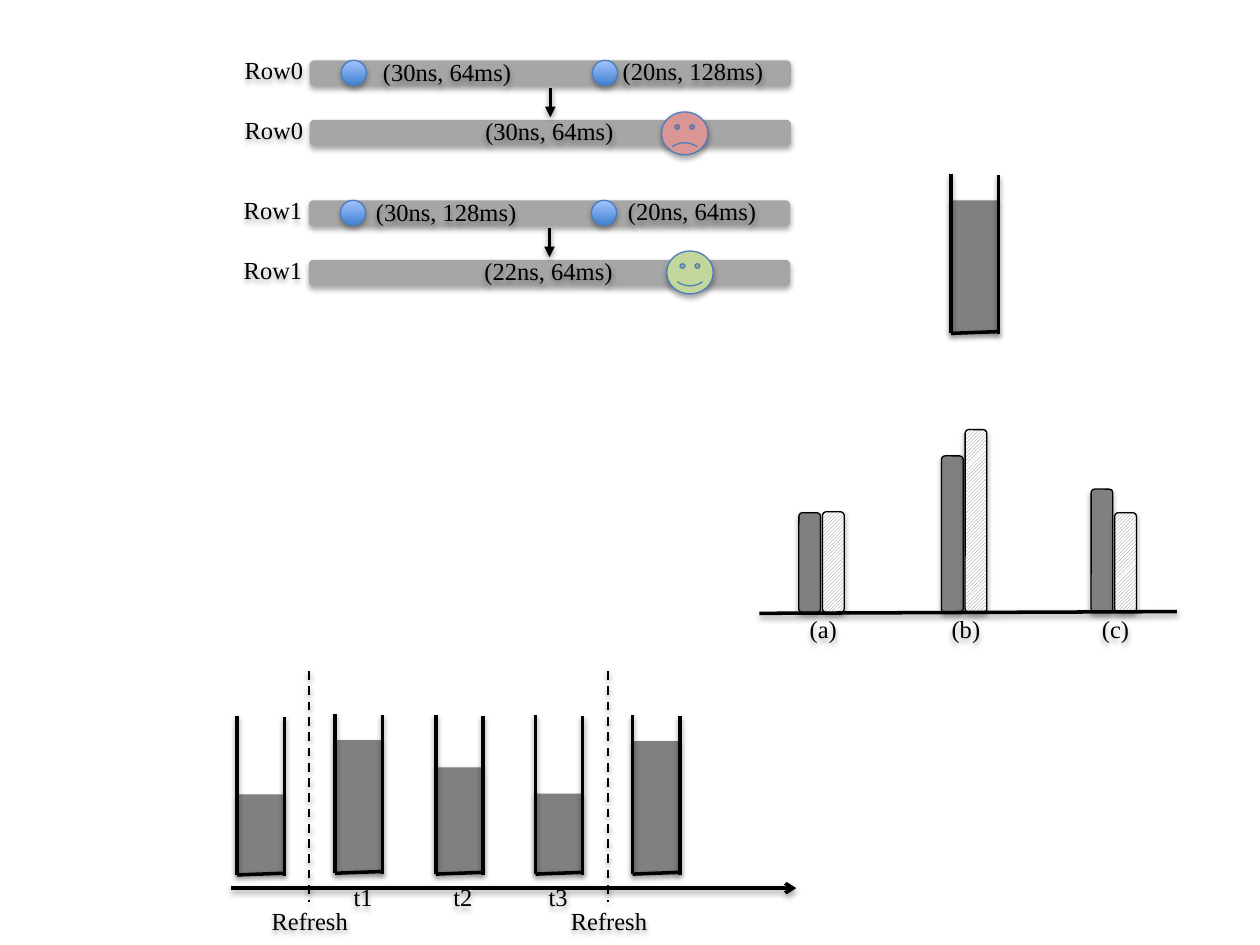
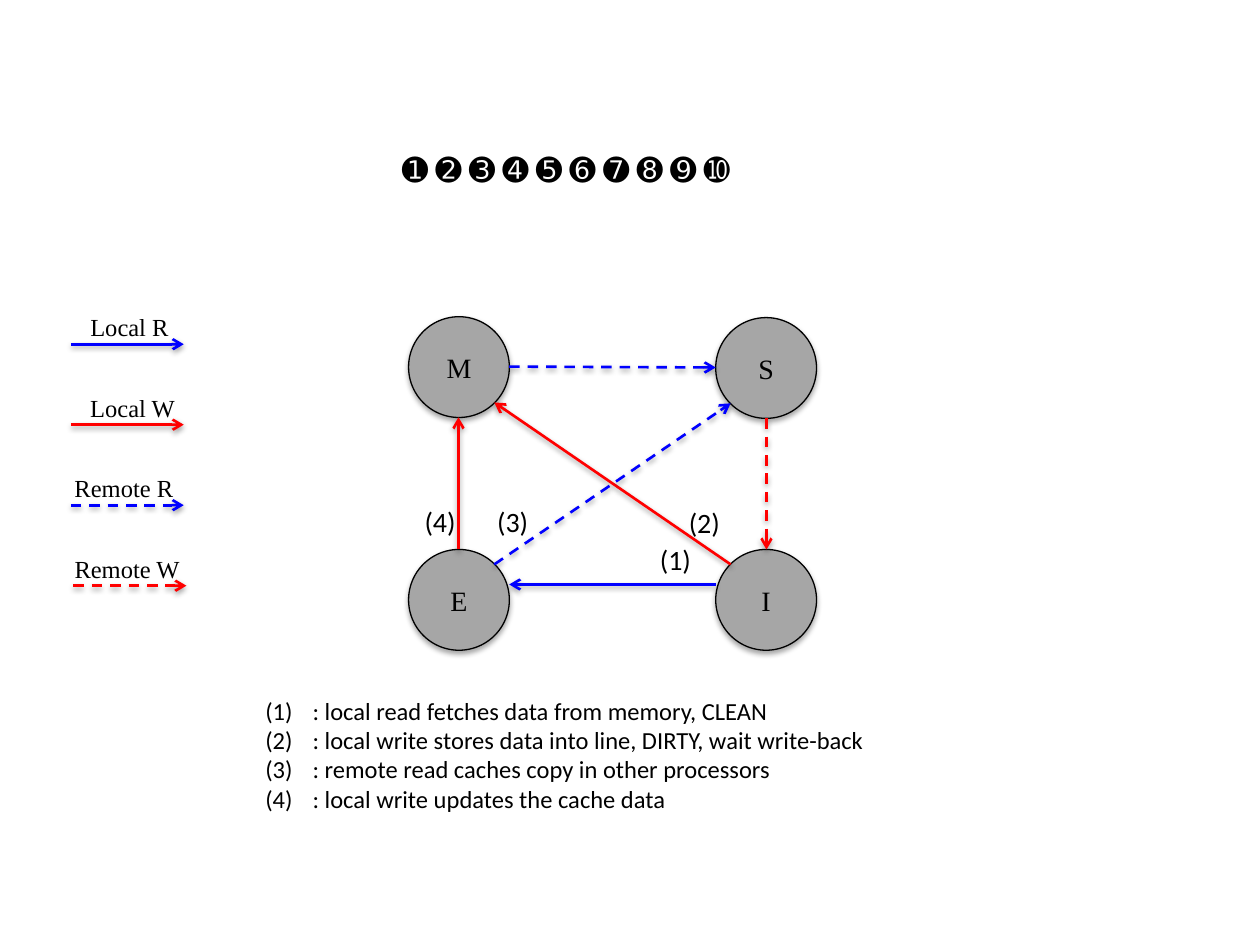
from lxml import etree
from pptx import Presentation
from pptx.dml.color import RGBColor
from pptx.enum.dml import MSO_LINE, MSO_PATTERN
from pptx.enum.shapes import MSO_CONNECTOR, MSO_SHAPE
from pptx.enum.text import MSO_ANCHOR, MSO_AUTO_SIZE, PP_ALIGN
from pptx.oxml.ns import qn
from pptx.util import Pt

RECT, ROUND = MSO_SHAPE.RECTANGLE, MSO_SHAPE.ROUNDED_RECTANGLE
OVAL, SMILEY = MSO_SHAPE.OVAL, MSO_SHAPE.SMILEY_FACE
STRAIGHT = MSO_CONNECTOR.STRAIGHT
DASH = MSO_LINE.DASH
STRIPES = MSO_PATTERN.LIGHT_UPWARD_DIAGONAL
CENTER, MIDDLE = PP_ALIGN.CENTER, MSO_ANCHOR.MIDDLE
GROW = MSO_AUTO_SIZE.SHAPE_TO_FIT_TEXT

BLACK = RGBColor(0x00, 0x00, 0x00)
WHITE = RGBColor(0xFF, 0xFF, 0xFF)
LIGHT_GRAY = RGBColor(0xA6, 0xA6, 0xA6)
DARK_GRAY = RGBColor(0x80, 0x80, 0x80)
EDGE_BLUE = RGBColor(0x4B, 0x7E, 0xBC)
DEEP_BLUE = RGBColor(0x3F, 0x80, 0xCE)
PALE_BLUE = RGBColor(0xA4, 0xC4, 0xFF)
PINK = RGBColor(0xD9, 0x96, 0x94)
GREEN = RGBColor(0xC3, 0xD6, 0x9B)
BLUE = RGBColor(0x00, 0x00, 0xFF)
RED = RGBColor(0xFF, 0x00, 0x00)
SERIF, SANS = "Times New Roman", "Calibri"


def add_block(page, kind, left, top, width, height, fill=None, outline=None, text="", size=14):
    """Add a shape with the theme's soft shadow; without a fill it is a plain label."""
    shape = page.shapes.add_shape(kind, Pt(left), Pt(top), Pt(width), Pt(height))
    if fill is None:
        shape.fill.background()
    else:
        shape.fill.solid()
        shape.fill.fore_color.rgb = fill
    if outline is None:
        shape.line.fill.background()
    else:
        shape.line.color.rgb = outline
        shape.line.width = Pt(0.75)
    if text:
        frame = shape.text_frame
        frame.margin_left = frame.margin_right = frame.margin_top = frame.margin_bottom = 0
        frame.vertical_anchor = MIDDLE
        para = frame.paragraphs[0]
        para.text = text
        para.alignment = CENTER
        para.font.name, para.font.size = SERIF, Pt(size)
        para.font.color.rgb = BLACK
    return shape


def add_line(page, x1, y1, x2, y2, color=BLACK, width=2, dash=None, head=None):
    line = page.shapes.add_connector(STRAIGHT, Pt(x1), Pt(y1), Pt(x2), Pt(y2))
    line.line.color.rgb = color
    line.line.width = Pt(width)
    if dash:
        line.line.dash_style = dash
    if head:
        outline = line._element.spPr.find(qn("a:ln"))
        etree.SubElement(outline, qn("a:tailEnd")).set("type", head)


deck = Presentation()
deck.slide_width, deck.slide_height = Pt(720), Pt(540)
blank = deck.slide_layouts[6]

# Slide 1: memory rows, cell charge and refresh timeline
page = deck.slides.add_slide(blank)
rows = [
    ("Row0", 177, 34.5, "(30ns, 64ms)", "(20ns, 128ms)", "(30ns, 64ms)"),
    ("Row1", 176.5, 114.5, "(30ns, 128ms)", "(20ns, 64ms)", "(22ns, 64ms)"),
]
for name, left, top, first, second, merged in rows:
    for bar_top in (top, top + 34):
        add_block(page, ROUND, left, bar_top, 275, 14.8, LIGHT_GRAY)
        add_block(page, RECT, left - 47.5, bar_top - 3.5, 54, 18, text=name)
    for dot_left in (left + 18, left + 161.5):
        dot = add_block(page, OVAL, dot_left, top, 14.4, 14.4, DEEP_BLUE, EDGE_BLUE)
        dot.fill.gradient()
        dot.fill.gradient_angle = 90
        for stop, color in zip(dot.fill.gradient_stops, (DEEP_BLUE, PALE_BLUE)):
            stop.color.rgb = color
    add_block(page, RECT, left + 27.5, top - 2.5, 102, 18, text=first)
    add_block(page, RECT, left + 171.5, top - 3, 95, 18, text=second)
    add_block(page, RECT, left + 86, top + 31, 102, 18, text=merged)
    add_line(page, left + 137.5, top + 15.8, left + 137.5, top + 32.5, head="triangle")

for left, top, color, smile in [(378, 64, PINK, -0.047), (381, 143.5, GREEN, 0.047)]:
    face = add_block(page, SMILEY, left, top, 26.6, 24.5, color, EDGE_BLUE)
    face.adjustments[0] = smile

add_line(page, 132, 507.5, 455, 507.5, head="arrow")
for x in (176.5, 347.5):
    add_line(page, x, 383.5, x, 515.5, width=1.25, dash=DASH)
    add_block(page, RECT, x - 32, 517, 65, 18, text="Refresh")

beakers = [  # left, bottom, charge height
    (543.5, 190.5, 75),
    (135.5, 500, 45),
    (191.5, 499, 75),
    (249, 499.5, 60),
    (306, 499.5, 45),
    (361.5, 499.5, 75),
]
for left, bottom, charge in beakers:
    right = left + 27
    add_block(page, RECT, left, bottom - 1 - charge, 27, charge, DARK_GRAY)
    add_line(page, left, bottom, left, bottom - 91)
    add_line(page, right, bottom + 0.5, right, bottom - 90.5)
    add_line(page, left, bottom, right, bottom - 1)
for text, left in [("t1", 193), ("t2", 250), ("t3", 304.5)]:
    add_block(page, RECT, left, 503.5, 29, 18, text=text)

bar_pairs = [("(a)", 456.5, 57, 57.5), ("(b)", 538, 89.5, 104.5), ("(c)", 623.5, 70.5, 57)]
for text, left, solid, striped in bar_pairs:
    add_block(page, ROUND, left, 350 - solid, 12.4, solid, DARK_GRAY, BLACK)
    bar = add_block(page, ROUND, left + 13.5, 350 - striped, 12.4, striped, WHITE, BLACK)
    bar.fill.patterned()
    bar.fill.pattern = STRIPES
    bar.fill.fore_color.rgb = DARK_GRAY
    bar.fill.back_color.rgb = WHITE
    add_block(page, RECT, left - 4, 350.5, 36, 18, text=text)
add_line(page, 434, 350.5, 672.5, 349.5)

# Slide 2: cache line states and transitions
page = deck.slides.add_slide(blank)
states = [("M", 233.5, 181), ("S", 409, 181.5), ("E", 233.5, 314), ("I", 409, 314)]
for text, left, top in states:
    add_block(page, OVAL, left, top, 57.6, 57.6, LIGHT_GRAY, BLACK, text, 16)

transitions = [
    (409, 334, 291, 334, BLUE, None),
    (417.5, 322.5, 282.5, 230, RED, None),
    (282.5, 322.5, 417.5, 230.5, BLUE, DASH),
    (262, 314, 262, 238.5, RED, None),
    (438, 239, 438, 314, RED, DASH),
    (291, 209.5, 409, 210, BLUE, DASH),
]
for x1, y1, x2, y2, color, dash in transitions:
    add_line(page, x1, y1, x2, y2, color, 1.5, dash, "arrow")

labels = [  # text, left, top, width, height, size, font
    ("➊ ➋ ➌ ➍ ➎ ➏ ➐ ➑ ➒ ➓", 222.5, 82, 234, 29, 18, SANS),
    ("(1)", 370, 306.5, 32.5, 26.5, 16, SANS),
    ("(2)", 386.5, 285.5, 32.5, 26.5, 16, SANS),
    ("(3)", 277, 284.5, 32.5, 26.5, 16, SANS),
    ("(4)", 235.5, 284.5, 32.5, 26.5, 16, SANS),
]
legend = [
    ("Local R", 44.5, 60, 40.5, BLUE, None),
    ("Local W", 44.5, 64, 40.5, RED, None),
    ("Remote R", 35.5, 72, 40.5, BLUE, DASH),
    ("Remote W", 35.5, 76, 42, RED, DASH),
]
for index, (text, left, width, start, color, dash) in enumerate(legend):
    y = 196.7 + 46 * index
    add_line(page, start, y, start + 64.5, y, color, 1.5, dash, "arrow")
    labels.append((text, left, y - 21.7, width, 24.5, 14, SERIF))

notes = [
    ": local read fetches data from memory, CLEAN",
    ": local write stores data into line, DIRTY, wait write-back",
    ": remote read caches copy in other processors",
    ": local write updates the cache data",
]
labels.append(("\n".join(notes), 144.5, 394, 362, 75, 14, SANS))

for text, left, top, width, height, size, font in labels:
    box = page.shapes.add_textbox(Pt(left), Pt(top), Pt(width), Pt(height))
    frame = box.text_frame
    frame.word_wrap = False
    frame.auto_size = GROW
    frame.text = text
    for para in frame.paragraphs:
        para.font.name, para.font.size = font, Pt(size)
        para.font.color.rgb = BLACK
        if len(frame.paragraphs) > 1:
            properties = para._p.get_or_add_pPr()
            properties.set("marL", str(Pt(27)))
            properties.set("indent", str(Pt(-27)))
            number = etree.Element(qn("a:buAutoNum"), type="arabicParenBoth")
            properties.insert(0, number)

deck.save("out.pptx")
